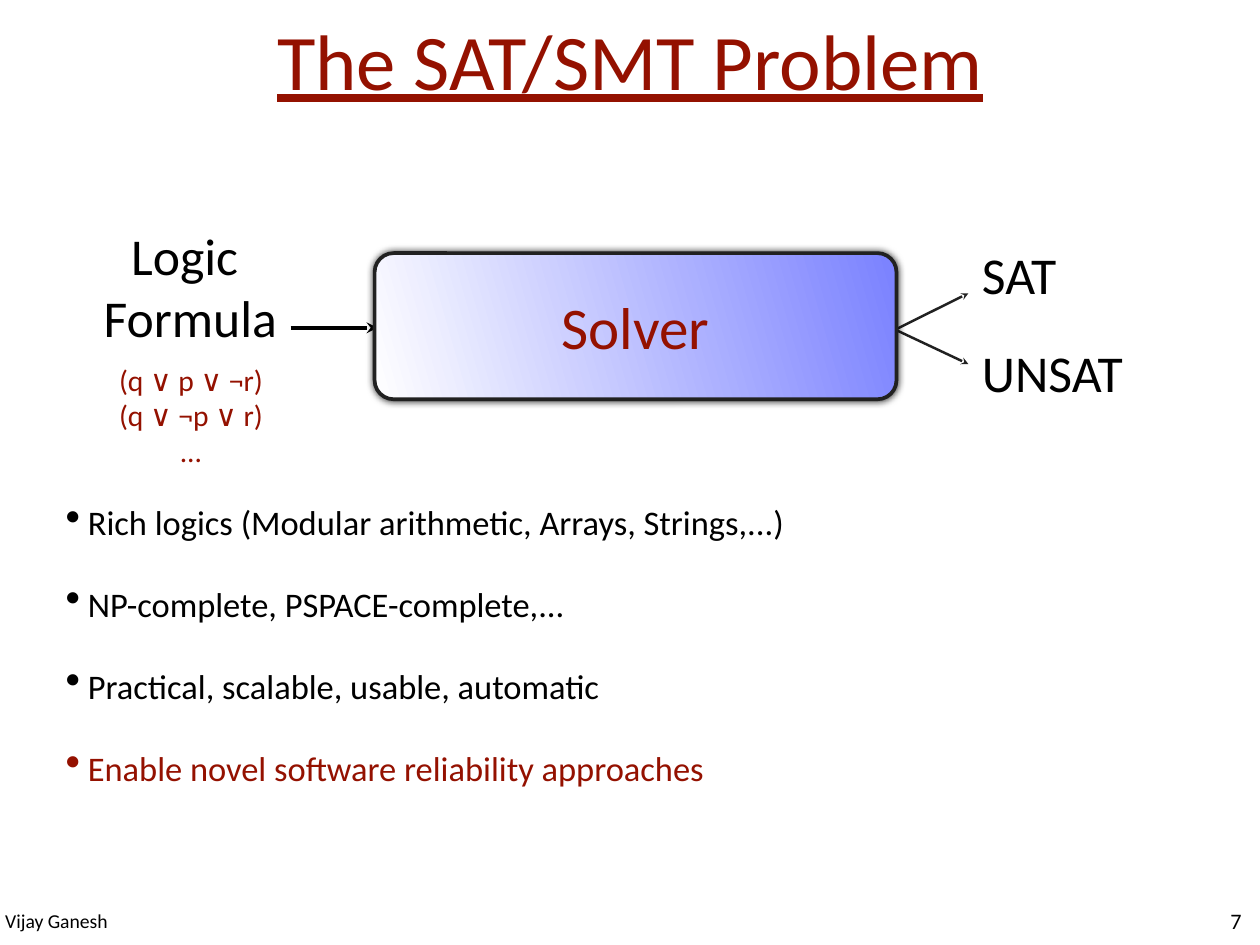
"""Build the SAT/SMT problem slide with its solver diagram and key points."""
import dataclasses

import lxml.etree
import pptx
import pptx.dml.color
import pptx.enum.shapes
import pptx.enum.text
import pptx.oxml
import pptx.oxml.ns
import pptx.util

Cm, Pt = pptx.util.Cm, pptx.util.Pt
RGB = pptx.dml.color.RGBColor.from_string
ALIGN = pptx.enum.text.PP_ALIGN
ANCHOR = pptx.enum.text.MSO_ANCHOR
qn = pptx.oxml.ns.qn


@dataclasses.dataclass(frozen=True)
class Theme:
    font: str = "Calibri"
    ink: str = "000000"
    accent: str = "941100"
    outline: str = "212121"
    blue: str = "7A81FF"
    white: str = "FFFFFF"
    title: int = 64
    solver: int = 48
    label: int = 42
    point: int = 28
    clause: int = 24
    number: int = 18
    footer: int = 16


theme = Theme()


def write(shape, lines, size, colour=theme.ink, align=ALIGN.LEFT):
    """Fill a shape with one styled paragraph per line and return its frame."""
    frame = shape.text_frame
    frame.word_wrap = True
    frame.vertical_anchor = ANCHOR.MIDDLE
    frame.margin_left = frame.margin_right = Cm(0.15)
    frame.margin_top = frame.margin_bottom = Cm(0.15)
    for index, line in enumerate(lines):
        paragraph = frame.paragraphs[0] if index == 0 else frame.add_paragraph()
        paragraph.alignment = align
        run = paragraph.add_run()
        run.text = line
        run.font.name = theme.font
        run.font.size = Pt(size)
        run.font.color.rgb = RGB(colour)
    return frame


def add_text(left, top, width, height, *style):
    """Place a text box, measured in centimetres, and write in it."""
    box = slide.shapes.add_textbox(Cm(left), Cm(top), Cm(width), Cm(height))
    return write(box, *style)


deck = pptx.Presentation()
deck.slide_width, deck.slide_height = Cm(36.12), Cm(27.1)
slide = deck.slides.add_slide(deck.slide_layouts[6])

add_text(0, 25.93, 9.07, 0.97, ["Vijay Ganesh"], theme.footer)

title = add_text(0, 0, 36.12, 3.71, ["The SAT/SMT Problem"],
                 theme.title, theme.accent, ALIGN.CENTER)
title.paragraphs[0].line_spacing = 0.9
title.paragraphs[0].runs[0].font.underline = True

points = add_text(1.73, 14.4, 32.72, 8.18, [
    "Rich logics (Modular arithmetic, Arrays, Strings,...)",
    "NP-complete, PSPACE-complete,...",
    "Practical, scalable, usable, automatic",
    "Enable novel software reliability approaches",
], theme.point)
for index, point in enumerate(points.paragraphs):
    point.space_before = Pt(33 if index else 0)
    properties = point._p.get_or_add_pPr()
    properties.set("marL", str(Cm(0.64)))
    properties.set("indent", str(-Cm(0.64)))
    lxml.etree.SubElement(properties, qn("a:buSzPct")).set("val", "125000")
    lxml.etree.SubElement(properties, qn("a:buChar")).set("char", "•")
points.paragraphs[-1].runs[0].font.color.rgb = RGB(theme.accent)

arrows = [
    (8.33, 9.4, 10.82, 9.4, theme.ink, 3),
    (25.63, 9.47, 27.76, 8.41, theme.outline, 2),
    (25.7, 9.47, 27.76, 10.44, theme.outline, 2),
]
for start_x, start_y, end_x, end_y, colour, weight in arrows:
    arrow = slide.shapes.add_connector(
        pptx.enum.shapes.MSO_CONNECTOR.STRAIGHT,
        Cm(start_x), Cm(start_y), Cm(end_x), Cm(end_y))
    arrow.line.color.rgb = RGB(colour)
    arrow.line.width = Pt(weight)
    tip = lxml.etree.SubElement(arrow.line._get_or_add_ln(), qn("a:tailEnd"))
    tip.set("type", "stealth")
    lxml.etree.SubElement(arrow._element.spPr, qn("a:effectLst"))

add_text(2.49, 6.2, 5.94, 4.01, ["Logic ", "Formula"],
         theme.label, theme.ink, ALIGN.CENTER)
for verdict, top in (("SAT", 6.76), ("UNSAT", 9.58)):
    add_text(28, top, 5.64, 2.16, [verdict], theme.label)

solver = slide.shapes.add_shape(
    pptx.enum.shapes.MSO_SHAPE.ROUNDED_RECTANGLE,
    Cm(10.74), Cm(7.26), Cm(14.96), Cm(4.19))
solver.adjustments[0] = 0.13
solver.fill.gradient()
solver.fill.gradient_angle = 196
for stop, position, colour in zip(solver.fill.gradient_stops, (0, 1),
                                  (theme.blue, theme.white)):
    stop.position = position
    stop.color.rgb = RGB(colour)
solver.line.color.rgb = RGB(theme.outline)
solver.line.width = Pt(3)
solver.shadow.inherit = False
solver._element.spPr.find(qn("a:effectLst")).append(pptx.oxml.parse_xml(
    f'<a:outerShdw {pptx.oxml.ns.nsdecls("a")} blurRad="{Pt(6)}" dist="0" '
    f'dir="18900000" rotWithShape="0"><a:srgbClr val="{theme.ink}">'
    '<a:alpha val="80000"/></a:srgbClr></a:outerShdw>'))
write(solver, ["Solver"], theme.solver, theme.accent, ALIGN.CENTER)

add_text(2.92, 10.06, 5.11, 3.68, ["(q ∨ p ∨ ¬r)", "(q ∨ ¬p ∨ r)", "..."],
         theme.clause, theme.accent, ALIGN.CENTER)

number = add_text(34.95, 25.88, 0.97, 1.02, ["7"],
                  theme.number, theme.ink, ALIGN.CENTER)
number.word_wrap = False
number.vertical_anchor = ANCHOR.TOP

deck.save("out.pptx")
